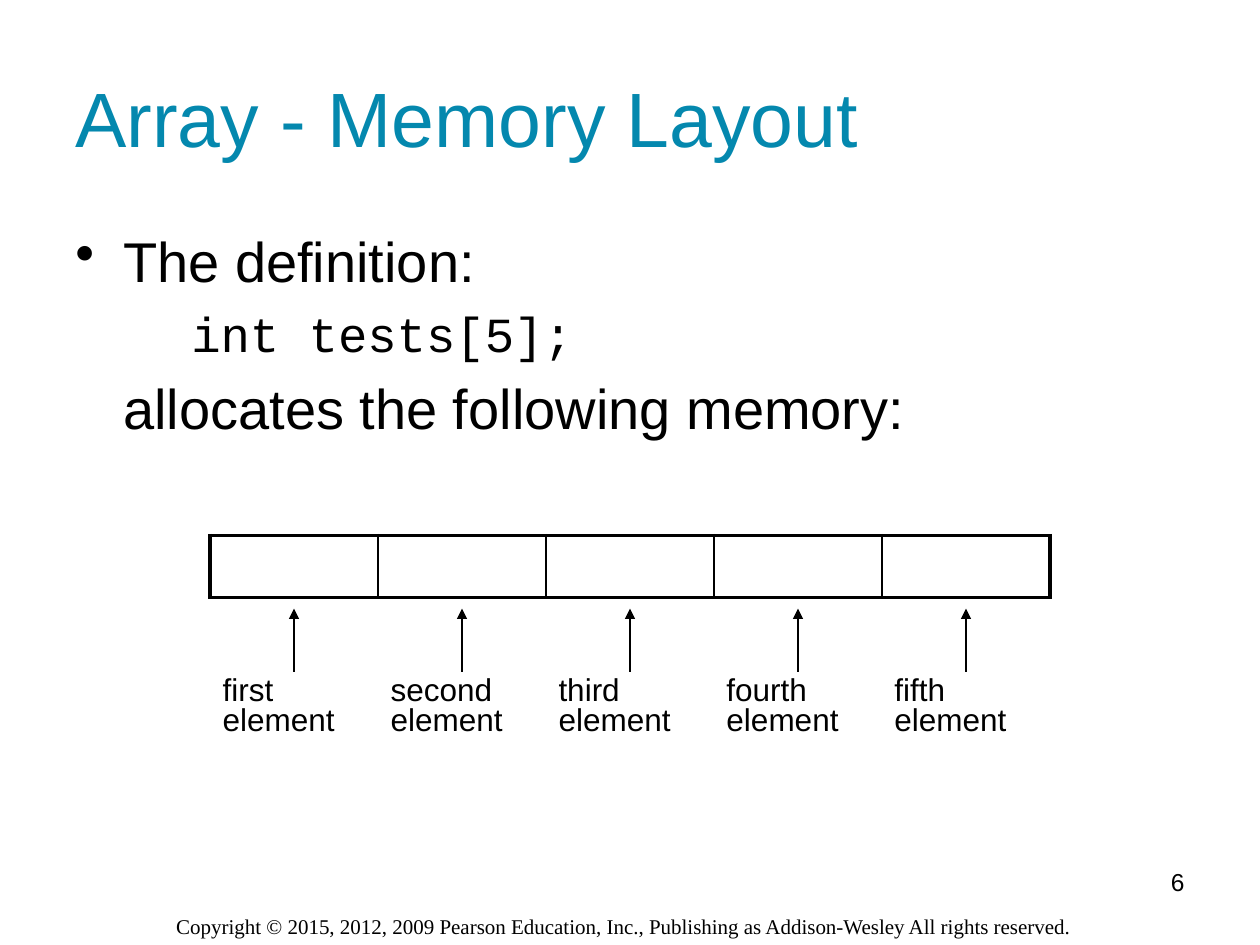
import pptx
import pptx.util
import pptx.dml.color
import pptx.enum.shapes
import pptx.enum.text
import pptx.oxml
import pptx.oxml.ns
import lxml.etree

TITLE = "Array - Memory Layout"
BODY = [
    {"text": "The definition:", "font": "Arial", "size": 32, "margin": 0.38, "indent": -0.38, "bullet": "•"},
    {"text": "int tests[5];", "font": "Courier New", "size": 28, "margin": 0.92, "indent": 0, "bullet": None},
    {"text": "allocates the following memory:", "font": "Arial", "size": 32, "margin": 0.38, "indent": 0, "bullet": None},
]
ELEMENTS = ["first element", "second element", "third element", "fourth element", "fifth element"]
COPYRIGHT = ("Copyright © 2015, 2012, 2009 Pearson Education, Inc., "
             "Publishing as Addison-Wesley All rights reserved.")
PAGE = "6"
COLORS = {"title": "0488AE", "ink": "000000"}

WIDTH, HEIGHT = 10, 7.5
MEMORY_LEFT = WIDTH / 6
MEMORY_WIDTH = WIDTH * 2 / 3
COLUMN = MEMORY_WIDTH / len(ELEMENTS)
MEMORY_TOP, MEMORY_HEIGHT = 4.25, 0.49
LABEL_TOP, LABEL_HEIGHT = 5.33, 0.92
ARROW_LENGTH = 0.5
OUTER, INNER = 2.25, 1

inches = pptx.util.Inches
points = pptx.util.Pt
qn = pptx.oxml.ns.qn


def style(paragraph, size, font="Arial", color="ink"):
    for run in paragraph.runs:
        run.font.size = points(size)
        run.font.name = font
        run.font.color.rgb = pptx.dml.color.RGBColor.from_string(COLORS[color])


def add_text(slide, text, left, top, width, height):
    box = slide.shapes.add_textbox(inches(left), inches(top), inches(width), inches(height))
    box.text_frame.word_wrap = True
    box.text_frame.text = text
    return box.text_frame


def add_row(slide, top, height):
    table = slide.shapes.add_table(1, len(ELEMENTS), inches(MEMORY_LEFT), inches(top),
                                   inches(MEMORY_WIDTH), inches(height)).table
    table.first_row = table.horz_banding = False
    for column in table.columns:
        column.width = inches(COLUMN)
    return table


def finish_cell(cell, borders):
    cell.fill.background()
    properties = cell._tc.get_or_add_tcPr()
    for position, side in enumerate("LRTB"):
        line = lxml.etree.Element(qn(f"a:ln{side}"))
        if side in borders:
            line.set("w", str(points(borders[side])))
            fill = lxml.etree.SubElement(line, qn("a:solidFill"))
            lxml.etree.SubElement(fill, qn("a:srgbClr"), val=COLORS["ink"])
        else:
            lxml.etree.SubElement(line, qn("a:noFill"))
        properties.insert(position, line)


def add_body(slide):
    frame = add_text(slide, "\n".join(item["text"] for item in BODY), 0.5, 1.75, 9, 4.95)
    for index, (paragraph, item) in enumerate(zip(frame.paragraphs, BODY)):
        properties = paragraph._p.get_or_add_pPr()
        properties.set("marL", str(inches(item["margin"])))
        properties.set("indent", str(inches(item["indent"])))
        if item["bullet"]:
            lxml.etree.SubElement(properties, qn("a:buChar"), char=item["bullet"])
        else:
            lxml.etree.SubElement(properties, qn("a:buNone"))
        if index:
            paragraph.space_before = points(0.2 * item["size"])
        style(paragraph, item["size"], item["font"])


def add_memory(slide):
    memory = add_row(slide, MEMORY_TOP, MEMORY_HEIGHT)
    labels = add_row(slide, LABEL_TOP, LABEL_HEIGHT)
    last = len(ELEMENTS) - 1
    for index, element in enumerate(ELEMENTS):
        finish_cell(memory.cell(0, index), {
            "L": OUTER if index == 0 else INNER,
            "R": OUTER if index == last else INNER,
            "T": OUTER,
            "B": OUTER,
        })
        label = labels.cell(0, index)
        label.text_frame.text = element
        label.text_frame.paragraphs[0].line_spacing = 0.85
        style(label.text_frame.paragraphs[0], 18)
        finish_cell(label, {})
        add_arrow(slide, MEMORY_LEFT + (index + 0.5) * COLUMN)


def add_arrow(slide, x):
    arrow = slide.shapes.add_connector(
        pptx.enum.shapes.MSO_CONNECTOR.STRAIGHT,
        inches(x), inches(LABEL_TOP), inches(x), inches(LABEL_TOP - ARROW_LENGTH))
    arrow.line.width = points(0.75)
    arrow.line.color.rgb = pptx.dml.color.RGBColor.from_string(COLORS["ink"])
    lxml.etree.SubElement(arrow.line._get_or_add_ln(), qn("a:tailEnd"), type="triangle")
    lxml.etree.SubElement(arrow._element.spPr, qn("a:effectLst"))


def main():
    deck = pptx.Presentation()
    deck.slide_width, deck.slide_height = inches(WIDTH), inches(HEIGHT)
    slide = deck.slides.add_slide(deck.slide_layouts[6])

    copyright_line = add_text(slide, COPYRIGHT, 1.3, 7.2, 7.42, 0.3)
    style(copyright_line.paragraphs[0], 12, "Times New Roman")

    title = add_text(slide, TITLE, 0.5, 0.3, 9, 1.25)
    title.vertical_anchor = pptx.enum.text.MSO_ANCHOR.MIDDLE
    style(title.paragraphs[0], 44, color="title")

    add_body(slide)
    add_memory(slide)

    page = add_text(slide, PAGE, 7.17, 6.83, 2.33, 0.52)
    page.paragraphs[0].alignment = pptx.enum.text.PP_ALIGN.RIGHT
    style(page.paragraphs[0], 14)

    deck.save("out.pptx")


if __name__ == "__main__":
    main()
